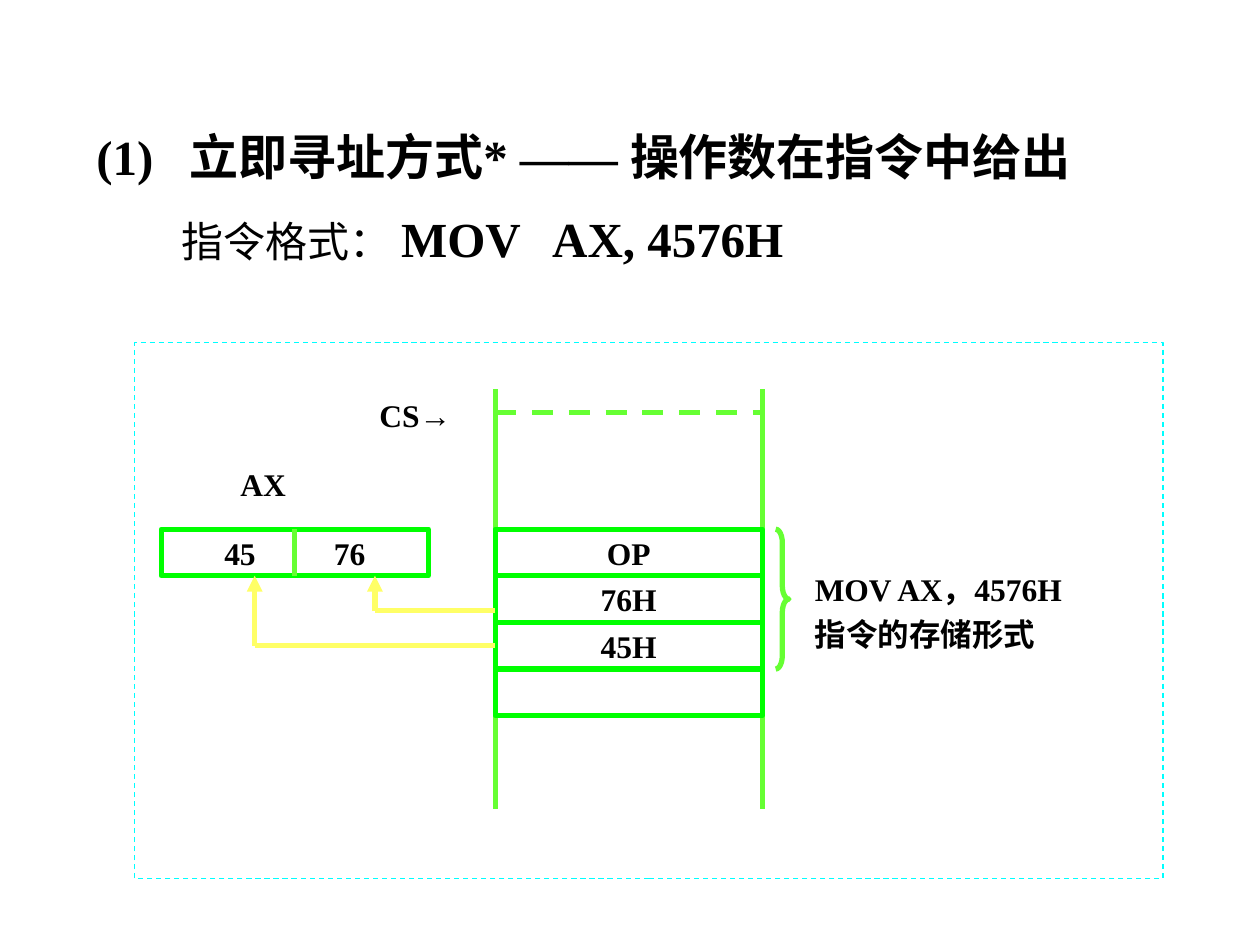
from dataclasses import dataclass

from lxml import etree
from pptx import Presentation
from pptx.dml.color import RGBColor
from pptx.enum.dml import MSO_LINE
from pptx.enum.shapes import MSO_CONNECTOR, MSO_SHAPE
from pptx.enum.text import MSO_ANCHOR, MSO_AUTO_SIZE, PP_ALIGN
from pptx.oxml.ns import qn
from pptx.util import Inches, Pt

RECT, BRACE = MSO_SHAPE.RECTANGLE, MSO_SHAPE.RIGHT_BRACE
STRAIGHT, DASH = MSO_CONNECTOR.STRAIGHT, MSO_LINE.DASH
TOP, MIDDLE = MSO_ANCHOR.TOP, MSO_ANCHOR.MIDDLE
LEFT, CENTER = PP_ALIGN.LEFT, PP_ALIGN.CENTER
SIDE_TOP, SIDE_LEFT, SIDE_BOTTOM = 0, 1, 2


@dataclass(frozen=True)
class Theme:
    font: str = "Times New Roman"
    text: str = "000000"
    cell: str = "00FF00"
    rail: str = "66FF33"
    flow: str = "FFFF66"
    frame: str = "00FFFF"
    heading: int = 28
    subheading: int = 24
    body: int = 18
    thick: float = 3
    thin: float = 0.75


class Diagram:
    """Grid unit is one memory cell; (0, 0) is the top left of the first cell."""
    origin_x, origin_y = 3.93, 4.2
    col, row = 2.12, 0.37

    def __init__(self, slide, theme):
        self.slide, self.theme = slide, theme

    def point(self, x, y):
        return (Inches(self.origin_x + x * self.col),
                Inches(self.origin_y + y * self.row))

    def box(self, x, y, w, h):
        return *self.point(x, y), Inches(w * self.col), Inches(h * self.row)

    def stroke(self, line, color, width, dash=None):
        line.color.rgb = RGBColor.from_string(color)
        line.width = Pt(width)
        if dash is not None:
            line.dash_style = dash

    def fill_text(self, frame, paragraphs, align=LEFT, anchor=TOP, wrap=True,
                  gap=0, tab=None):
        """Each paragraph is a list of (text, size, bold) runs."""
        frame.auto_size = MSO_AUTO_SIZE.NONE
        frame.word_wrap = wrap
        frame.vertical_anchor = anchor
        for i, runs in enumerate(paragraphs):
            para = frame.add_paragraph() if i else frame.paragraphs[0]
            para.alignment = align
            para.space_before = Pt(gap if i else 0)
            if tab is not None:
                stops = etree.SubElement(para._p.get_or_add_pPr(), qn("a:tabLst"))
                etree.SubElement(stops, qn("a:tab"), pos=str(Inches(tab)), algn="l")
            for text, size, bold in runs:
                run = para.add_run()
                run.text = text
                run.font.name = self.theme.font
                run.font.size = Pt(size)
                run.font.bold = bold
                run.font.color.rgb = RGBColor.from_string(self.theme.text)

    def title(self, place, runs, **layout):
        heading = self.slide.shapes.title
        heading.left, heading.top, heading.width, heading.height = self.box(*place)
        self.fill_text(heading.text_frame, [runs], **layout)

    def label(self, place, paragraphs, **layout):
        text_box = self.slide.shapes.add_textbox(*self.box(*place))
        self.fill_text(text_box.text_frame, paragraphs, **layout)

    def outline(self, place, color, width, kind=RECT, dash=None):
        shape = self.slide.shapes.add_shape(kind, *self.box(*place))
        shape.shadow.inherit = False
        shape.fill.background()
        self.stroke(shape.line, color, width, dash)
        return shape

    def cell(self, x, y, text="", **layout):
        shape = self.outline((x, y, 1, 1), self.theme.cell, self.theme.thick)
        if text:
            options = {"align": CENTER, "anchor": MIDDLE, "wrap": False, **layout}
            self.fill_text(shape.text_frame, [[(text, self.theme.body, True)]],
                           **options)
        return shape

    def line(self, start, end, color, dash=None, arrow=False):
        link = self.slide.shapes.add_connector(
            STRAIGHT, *self.point(*start), *self.point(*end))
        self.stroke(link.line, color, self.theme.thick, dash)
        properties = link._element.spPr
        if arrow:
            etree.SubElement(properties.find(qn("a:ln")), qn("a:tailEnd"),
                             type="triangle")
        etree.SubElement(properties, qn("a:effectLst"))
        return link


def main():
    deck = Presentation()
    deck.slide_width, deck.slide_height = Inches(10), Inches(7.5)
    theme = Theme()
    diagram = Diagram(deck.slides.add_slide(deck.slide_layouts[5]), theme)

    # Heading and instruction format
    diagram.title((-1.54, -8.85, 4.05, 1.7),
                  [("(1)\t立即寻址方式* —— 操作数在指令中给出", theme.heading, True)],
                  anchor=MIDDLE, tab=0.74)
    diagram.label((-1.22, -7.1, 3.2, 1.7),
                  [[("指令格式： ", theme.subheading, False),
                    ("MOV\tAX, 4576H", theme.heading, True)]],
                  anchor=MIDDLE, tab=2.94)

    # Memory column: side rails, segment start and cells
    for rail in (0, 1):
        diagram.line((rail, -3), (rail, 6), theme.rail)
    cells = [diagram.cell(0, row, text)
             for row, text in enumerate(("OP", "76H", "45H", ""))]
    diagram.line((0, -2.5), (1, -2.5), theme.rail, dash=DASH)
    diagram.label((-0.48, -3, 0.55, 1.08), [[("CS→", theme.body, True)]])

    # Stored form of the instruction
    brace = diagram.outline((1.05, 0, 0.05, 3), theme.rail, theme.thick, BRACE)
    brace.adjustments[0], brace.adjustments[1] = 1, 0.5
    diagram.label((1.15, 0.75, 1.35, 2.3),
                  [[("MOV AX，4576H", theme.body, True)],
                   [("指令的存储形式", theme.body, True)]], gap=4)

    # AX register with its high and low byte
    register = diagram.cell(-1.25, 0, "45\t76", align=LEFT, wrap=True, tab=0.87)
    register.text_frame.margin_left = Inches(0.5)
    divider = diagram.line((-0.75, 0), (-0.75, 1), theme.rail)
    divider.begin_connect(register, SIDE_TOP)
    divider.end_connect(register, SIDE_BOTTOM)
    diagram.label((-1, -1.5, 0.6, 1.08), [[("AX", theme.body, True)]])

    # Data flow from memory bytes to the register
    for byte_x, exit_y in ((-0.45, 1.75), (-0.9, 2.5)):
        feed = diagram.line((0, exit_y), (byte_x, exit_y), theme.flow)
        if exit_y == 2.5:
            feed.begin_connect(cells[2], SIDE_LEFT)
        diagram.line((byte_x, exit_y), (byte_x, 1), theme.flow, arrow=True)

    # Frame around the diagram
    diagram.outline((-1.35, -4, 3.85, 11.5), theme.frame, theme.thin, dash=DASH)

    deck.save("out.pptx")


if __name__ == "__main__":
    main()
